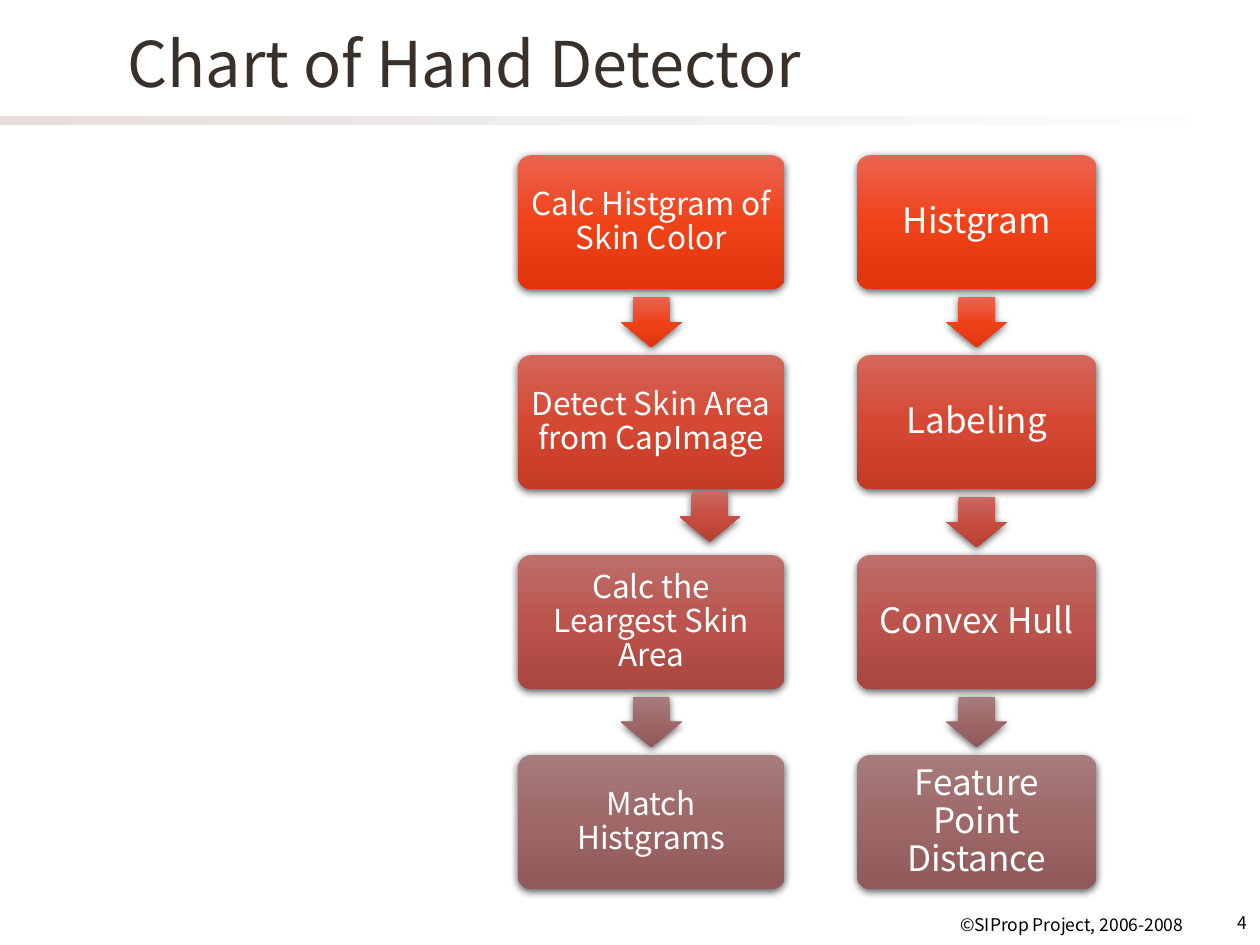
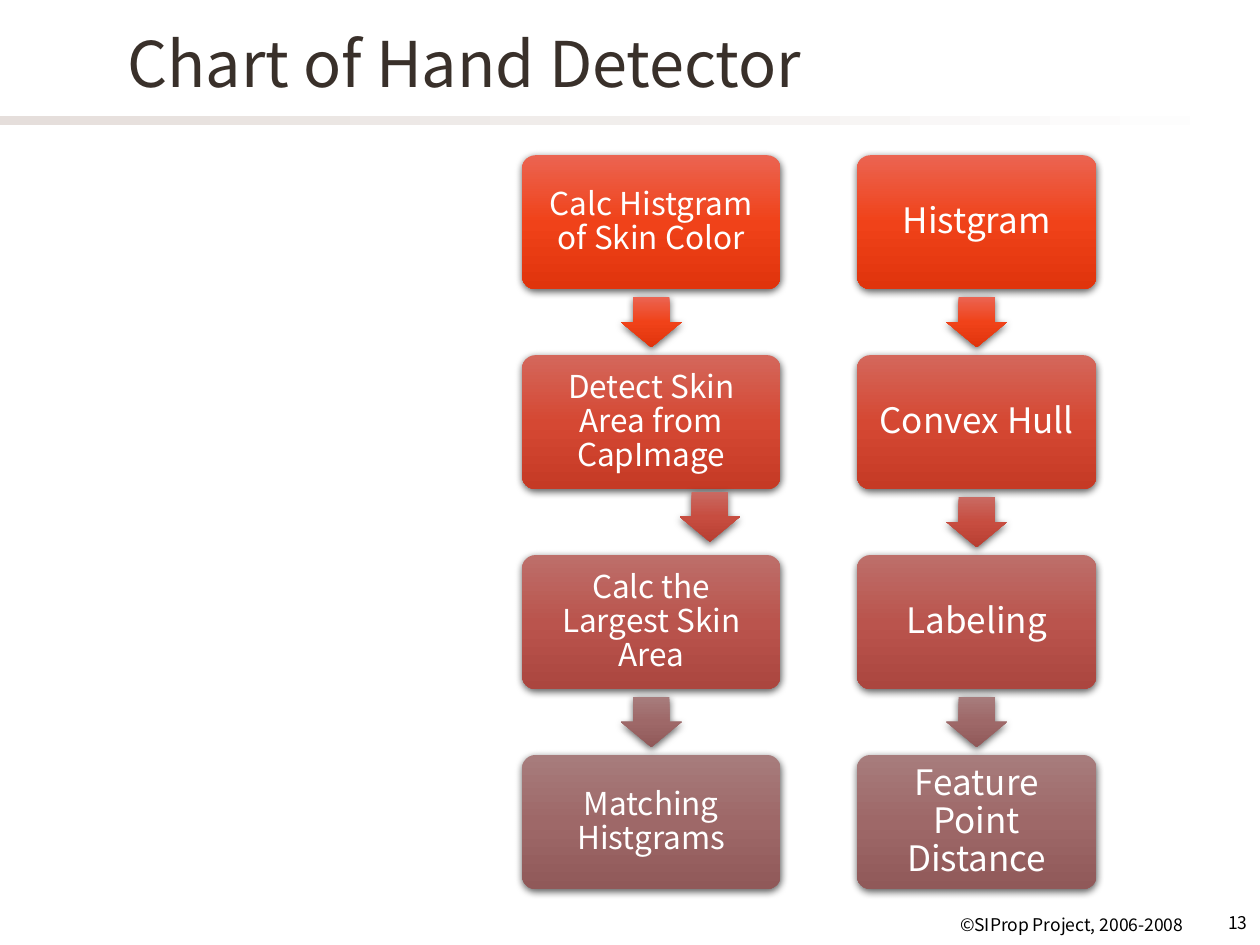
import pptx
import pptx.dml.color
import pptx.enum.shapes
import pptx.enum.text
import pptx.oxml
import pptx.oxml.ns
import pptx.util
from copy import deepcopy

Cm, Pt = pptx.util.Cm, pptx.util.Pt
RGBColor = pptx.dml.color.RGBColor
SHAPE = pptx.enum.shapes.MSO_SHAPE
ALIGN = pptx.enum.text.PP_ALIGN
ANCHOR = pptx.enum.text.MSO_ANCHOR

# Content: processing steps on the left, the technique behind them on the right
TITLE = "Chart of Hand Detector"
COPYRIGHT = "©SIProp Project, 2006-2008"
CHARTS = [
    {"number": "4", "step_width": 5.38,
     "steps": ["Calc Histgram of Skin Color", "Detect Skin Area from CapImage",
               "Calc the Leargest Skin Area", "Match Histgrams"],
     "techniques": ["Histgram", "Labeling", "Convex Hull",
                    "Feature Point Distance"]},
    {"number": "13", "step_width": 5.21,
     "steps": ["Calc Histgram of Skin Color", "Detect Skin Area from CapImage",
               "Calc the Largest Skin Area", "Matching Histgrams"],
     "techniques": ["Histgram", "Convex Hull", "Labeling",
                    "Feature Point Distance"]},
]

# Shared style
FONT = "Noto Sans CJK JP"
WHITE = RGBColor(0xFF, 0xFF, 0xFF)
BLACK = RGBColor(0x00, 0x00, 0x00)
BROWN = RGBColor(0x39, 0x30, 0x2A)
SAND = RGBColor(0xE5, 0xDE, 0xDB)
ORANGE = [RGBColor(0xEB, 0x64, 0x51), RGBColor(0xF0, 0x42, 0x19), RGBColor(0xE0, 0x34, 0x0C)]
RED = [RGBColor(0xD4, 0x67, 0x5B), RGBColor(0xD5, 0x48, 0x33), RGBColor(0xC5, 0x3A, 0x25)]
BRICK = [RGBColor(0xC9, 0x6A, 0x62), RGBColor(0xC7, 0x4D, 0x40), RGBColor(0xB8, 0x3F, 0x32)]
ROSE = [RGBColor(0xBD, 0x6F, 0x6A), RGBColor(0xBA, 0x54, 0x4D), RGBColor(0xAB, 0x46, 0x3F)]
MAUVE = [RGBColor(0xA7, 0x7C, 0x7C), RGBColor(0x9E, 0x68, 0x68), RGBColor(0x90, 0x59, 0x59)]
BOX_FILLS = [ORANGE, RED, ROSE, MAUVE]
ARROW_FILLS = [ORANGE, BRICK, MAUVE]

# Flow geometry in centimetres
FLOW_TOP, BOX_HEIGHT, PITCH = 3.13, 2.7, 4.03
ARROW_WIDTH, ARROW_HEIGHT = 1.22, 1.01
STEP_CENTRE, TECHNIQUE_CENTRE = 13.13, 19.69
TECHNIQUE_WIDTH = 4.83
STEP_ARROW_SHIFTS = {1: (1.18, -0.11)}

SHADOW = (f'<a:outerShdw {pptx.oxml.ns.nsdecls("a")} blurRad="57150" dist="19050" '
          'dir="5400000" algn="ctr" rotWithShape="0"><a:srgbClr val="000000">'
          '<a:alpha val="63000"/></a:srgbClr></a:outerShdw>')


def write(frame, text, size, colour, align):
    frame.text = text
    frame.word_wrap = True
    paragraph = frame.paragraphs[0]
    paragraph.alignment = align
    for run in paragraph.runs:
        run.font.size = Pt(size)
        run.font.color.rgb = colour
        run.font.name = FONT
        east_asian = pptx.oxml.parse_xml(
            f'<a:ea {pptx.oxml.ns.nsdecls("a")} typeface="{FONT}"/>')
        run.font._element.find(pptx.oxml.ns.qn("a:latin")).addnext(east_asian)


def add_gradient_shape(slide, kind, left, top, width, height, colours, angle):
    shape = slide.shapes.add_shape(kind, Cm(left), Cm(top), Cm(width), Cm(height))
    shape.shadow.inherit = False
    shape.line.fill.background()
    shape.fill.gradient()
    shape.fill.gradient_angle = angle
    stops = shape._element.spPr.find(".//" + pptx.oxml.ns.qn("a:gsLst"))
    while len(stops) < len(colours):
        stops.append(deepcopy(stops[0]))
    for i, (stop, colour) in enumerate(zip(shape.fill.gradient_stops, colours)):
        stop.position = i / (len(colours) - 1)
        stop.color.rgb = colour
    return shape


def add_raised_shape(slide, kind, centre, top, width, height, colours, adjustments):
    shape = add_gradient_shape(slide, kind, centre - width / 2, top,
                               width, height, colours, 270)
    for i, value in enumerate(adjustments):
        shape.adjustments[i] = value
    effects = shape._element.spPr.find(pptx.oxml.ns.qn("a:effectLst"))
    effects.append(pptx.oxml.parse_xml(SHADOW))
    return shape


def add_footer(slide, text, left, top, width):
    footer = slide.shapes.add_textbox(Cm(left), Cm(top), Cm(width), Cm(0.8))
    write(footer.text_frame, text, 10, BLACK, ALIGN.RIGHT)


def add_flow(slide, labels, centre, width, size, inset, arrow_shifts):
    for i, label in enumerate(labels):
        top = FLOW_TOP + i * PITCH
        box = add_raised_shape(slide, SHAPE.ROUNDED_RECTANGLE, centre, top,
                               width, BOX_HEIGHT, BOX_FILLS[i], [0.1])
        frame = box.text_frame
        frame.margin_left = frame.margin_right = Cm(inset)
        frame.margin_top = frame.margin_bottom = Cm(inset)
        frame.vertical_anchor = ANCHOR.MIDDLE
        write(frame, label, size, WHITE, ALIGN.CENTER)
        frame.paragraphs[0].line_spacing = 0.9

    # Arrows sit midway in the gaps between boxes
    gap = PITCH - BOX_HEIGHT
    for i, colours in enumerate(ARROW_FILLS):
        right, down = arrow_shifts.get(i, (0, 0))
        top = FLOW_TOP + i * PITCH + BOX_HEIGHT + (gap - ARROW_HEIGHT) / 2
        add_raised_shape(slide, SHAPE.DOWN_ARROW, centre + right, top + down,
                         ARROW_WIDTH, ARROW_HEIGHT, colours, [0.6, 0.5])


def add_chart_slide(deck, chart):
    slide = deck.slides.add_slide(deck.slide_layouts[5])

    # Title, band and footers
    title = slide.shapes.title
    title.left, title.top, title.width, title.height = Cm(2.31), Cm(0), Cm(21.59), Cm(2.51)
    title.text_frame.vertical_anchor = ANCHOR.MIDDLE
    write(title.text_frame, TITLE, 36, BROWN, ALIGN.LEFT)
    add_gradient_shape(slide, SHAPE.RECTANGLE, 0, 2.33, 25.4, 0.2, [SAND, WHITE], 0)
    add_footer(slide, COPYRIGHT, 12.9, 18.31, 11.2)
    add_footer(slide, chart["number"], 24.18, 18.26, 1.22)

    # Steps and techniques
    add_flow(slide, chart["steps"], STEP_CENTRE, chart["step_width"],
             18, 0.18, STEP_ARROW_SHIFTS)
    add_flow(slide, chart["techniques"], TECHNIQUE_CENTRE, TECHNIQUE_WIDTH,
             20, 0.21, {})


def main():
    deck = pptx.Presentation()
    deck.slide_width, deck.slide_height = Cm(25.4), Cm(19.05)
    for chart in CHARTS:
        add_chart_slide(deck, chart)
    deck.save("out.pptx")


if __name__ == "__main__":
    main()
